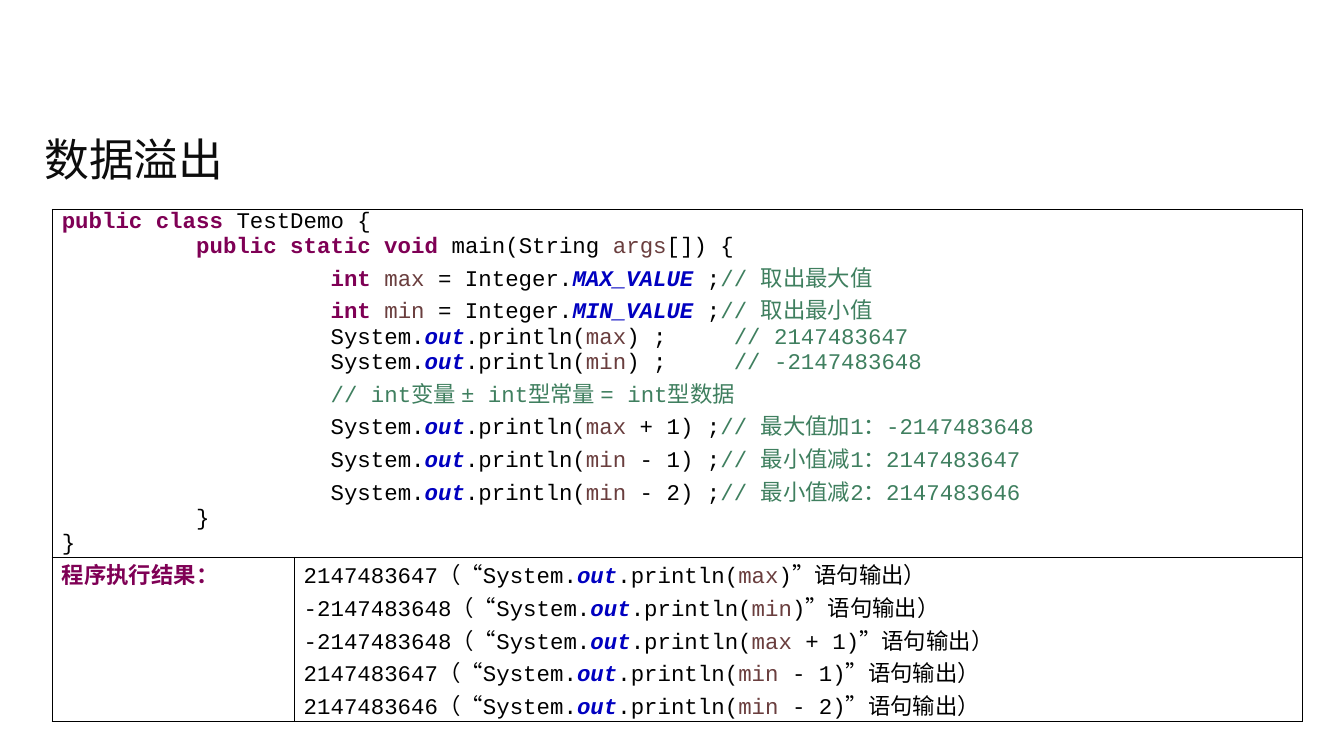
from lxml import etree
from pptx import Presentation
from pptx.dml.color import RGBColor
from pptx.enum.text import MSO_ANCHOR, MSO_AUTO_SIZE, PP_ALIGN
from pptx.oxml.ns import qn
from pptx.util import Inches, Pt

LEFT, MIDDLE = PP_ALIGN.LEFT, MSO_ANCHOR.MIDDLE
TOP, NO_FIT = MSO_ANCHOR.TOP, MSO_AUTO_SIZE.NONE

WIDE = 10
HIGH = WIDE * 9 / 16
COLS, ROWS = (1.8, 7.5), (2.59, 1.22)
STOPS = range(1, 6)
CODE, HAN = "Courier New", "Noto Sans CJK SC"
HUES = {"title": "0D0D0D", "plain": "000000", "key": "7F0055",
        "var": "6A3E3E", "field": "0000C0", "note": "3F7F5F"}


# Code pieces: each run is a pair of kind and text
def call(head, name, tail):
    return [("plain", head + "System."), ("field", "out"),
            ("plain", ".println("), ("var", name), ("plain", tail)]


def fetch(name, limit, note):
    return [("plain", "\t\t"), ("key", "int "), ("var", name),
            ("plain", " = Integer."), ("field", limit + " "),
            ("plain", ";"), ("note", note)]


def show(name, tail, note):
    return call("\t\t", name, tail) + [("note", note)]


def result(value, name, step=""):
    return call(f"{value}（“", name, f"{step})”语句输出）")


SOURCE = [
    [("key", "public class"), ("plain", " TestDemo {")],
    [("plain", "\t"), ("key", "public static void"),
     ("plain", " main(String "), ("var", "args"), ("plain", "[]) {")],
    fetch("max", "MAX_VALUE", "// 取出最大值"),
    fetch("min", "MIN_VALUE", "// 取出最小值"),
    show("max", ") ;\t", "// 2147483647"),
    show("min", ") ;\t", "// -2147483648"),
    [("plain", "\t\t"), ("note", "// int变量 ± int型常量 = int型数据")],
    show("max", " + 1) ;", "// 最大值加1：-2147483648"),
    show("min", " - 1) ;", "// 最小值减1：2147483647"),
    show("min", " - 2) ;", "// 最小值减2：2147483646"),
    [("plain", "\t}")],
    [("plain", "}")],
]
LABEL = [[("key", "程序执行结果：")]]
OUTPUT = [
    result("2147483647", "max"),
    result("-2147483648", "min"),
    result("-2147483648", "max", " + 1"),
    result("2147483647", "min", " - 1"),
    result("2147483646", "min", " - 2"),
]


def add_run(para, kind, text, size=12, face=CODE):
    run = para.add_run()
    run.text = text
    font = run.font
    font.size, font.name = Pt(size), face
    font.bold = kind in ("key", "field")
    font.italic = kind == "field"
    font.color.rgb = RGBColor.from_string(HUES[kind])
    etree.SubElement(run._r.get_or_add_rPr(), qn("a:ea"), typeface=HAN)


def add_title(slide, text):
    title = slide.shapes.title
    title.left, title.top = Inches(0.23), Inches(0.86)
    title.width, title.height = Inches(9.53), Inches(0.64)
    frame = title.text_frame
    frame.auto_size, frame.vertical_anchor = NO_FIT, MIDDLE
    para = frame.paragraphs[0]
    para.alignment = LEFT
    add_run(para, "title", text, 24, HAN)


def add_tabs(para):
    tabs = etree.SubElement(para._p.get_or_add_pPr(), qn("a:tabLst"))
    for stop in STOPS:
        etree.SubElement(tabs, qn("a:tab"), pos=str(Inches(stop)), algn="l")


def add_edges(cell):
    props = cell._tc.get_or_add_tcPr()
    for side in ("lnL", "lnR", "lnT", "lnB"):
        line = etree.SubElement(props, qn("a:" + side), w=str(Pt(1)))
        fill = etree.SubElement(line, qn("a:solidFill"))
        etree.SubElement(fill, qn("a:srgbClr"), val=HUES["plain"])


def fill_cell(cell, lines):
    cell.margin_left = cell.margin_right = Inches(0.07)
    cell.margin_top = cell.margin_bottom = 0
    cell.vertical_anchor = TOP
    frame = cell.text_frame
    for i, line in enumerate(lines):
        para = frame.add_paragraph() if i else frame.paragraphs[0]
        para.alignment = LEFT
        add_tabs(para)
        for kind, text in line:
            add_run(para, kind, text)


def add_grid(slide):
    shape = slide.shapes.add_table(
        len(ROWS), len(COLS), Inches(0.39), Inches(1.56),
        Inches(sum(COLS)), Inches(sum(ROWS)))
    table = shape.table
    table.first_row = table.horz_banding = False
    for col, width in zip(table.columns, COLS):
        col.width = Inches(width)
    for row, height in zip(table.rows, ROWS):
        row.height = Inches(height)
    for cell in table.iter_cells():
        add_edges(cell)
        cell.fill.background()
    # Code spans the top row, its output sits below
    table.cell(0, 0).merge(table.cell(0, 1))
    fill_cell(table.cell(0, 0), SOURCE)
    fill_cell(table.cell(1, 0), LABEL)
    fill_cell(table.cell(1, 1), OUTPUT)


def main():
    deck = Presentation()
    deck.slide_width, deck.slide_height = Inches(WIDE), Inches(HIGH)
    slide = deck.slides.add_slide(deck.slide_layouts[5])
    add_title(slide, "数据溢出")
    add_grid(slide)
    deck.save("out.pptx")


if __name__ == "__main__":
    main()
